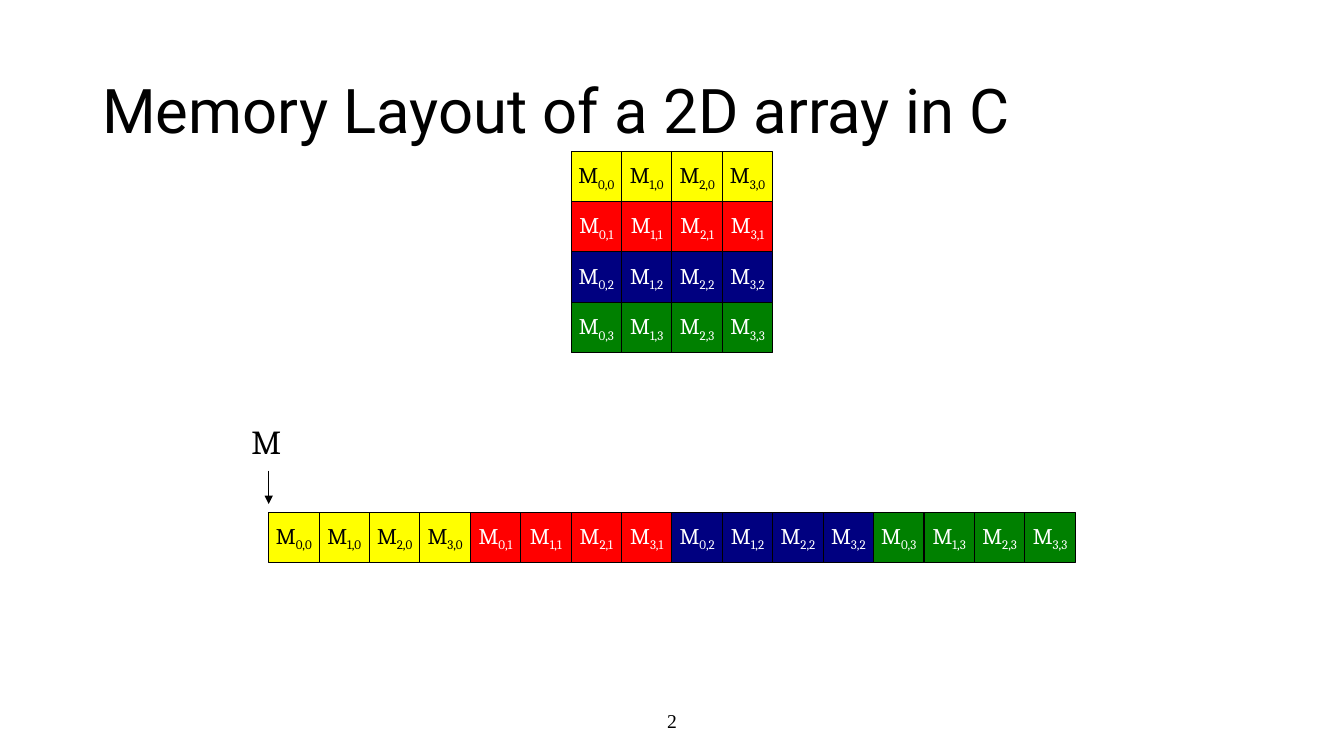
from dataclasses import dataclass

from lxml.etree import SubElement
from pptx import Presentation
from pptx.dml.color import RGBColor
from pptx.enum.shapes import MSO_CONNECTOR, MSO_SHAPE
from pptx.enum.text import MSO_ANCHOR, MSO_AUTO_SIZE, PP_ALIGN
from pptx.oxml.ns import qn
from pptx.util import Inches, Pt


@dataclass(frozen=True)
class Theme:
    ink: str = "000000"
    row_colors: tuple = (
        ("FFFF00", "000000"),
        ("FF0000", "FFFFFF"),
        ("000080", "FFFFFF"),
        ("008000", "FFFFFF"),
    )
    title_font: str = "Roboto"
    cell_font: str = "Cambria"
    number_font: str = "Times New Roman"
    title_size: int = 44
    pointer_size: int = 24
    cell_size: int = 16
    number_size: int = 14
    line_width: float = 0.75


@dataclass(frozen=True)
class Box:
    left: float
    top: float
    width: float
    height: float

    def lengths(self):
        return [Inches(v) for v in (self.left, self.top, self.width, self.height)]


THEME = Theme()
SLIDE_WIDTH, SLIDE_HEIGHT = 13.33, 7.5
CELL = 0.5
SIDE = 4


def centred(width, top, height):
    return Box((SLIDE_WIDTH - width) / 2, top, width, height)


def add_run(paragraph, text, font, size, color):
    run = paragraph.add_run()
    run.text = text
    run.font.name = font
    run.font.size = Pt(size)
    run.font.color.rgb = RGBColor.from_string(color)
    return run


def add_text(slide, box, text, font, size, align=PP_ALIGN.LEFT, anchor=MSO_ANCHOR.MIDDLE):
    shape = slide.shapes.add_textbox(*box.lengths())
    frame = shape.text_frame
    frame.word_wrap = True
    frame.vertical_anchor = anchor
    paragraph = frame.paragraphs[0]
    paragraph.alignment = align
    add_run(paragraph, text, font, size, THEME.ink)
    return frame


def add_title(slide, box):
    frame = add_text(slide, box, "Memory Layout of a 2D array in C", THEME.title_font, THEME.title_size)
    frame.paragraphs[0].line_spacing = 0.9


def add_cell(slide, box, column, row):
    fill, ink = THEME.row_colors[row]
    shape = slide.shapes.add_shape(MSO_SHAPE.RECTANGLE, *box.lengths())
    shape.shadow.inherit = False
    shape.fill.solid()
    shape.fill.fore_color.rgb = RGBColor.from_string(fill)
    shape.line.color.rgb = RGBColor.from_string(THEME.ink)
    shape.line.width = Pt(THEME.line_width)
    frame = shape.text_frame
    frame.word_wrap = False
    frame.vertical_anchor = MSO_ANCHOR.MIDDLE
    paragraph = frame.paragraphs[0]
    paragraph.alignment = PP_ALIGN.CENTER
    add_run(paragraph, "M", THEME.cell_font, THEME.cell_size, ink)
    index = add_run(paragraph, f"{column},{row}", THEME.cell_font, THEME.cell_size, ink)
    index.font._element.set("baseline", "-25000")


def add_cells(slide, box, per_line):
    width = box.width / per_line
    height = box.height * per_line / SIDE**2
    for position in range(SIDE**2):
        row, column = divmod(position, SIDE)
        line, place = divmod(position, per_line)
        cell = Box(box.left + place * width, box.top + line * height, width, height)
        add_cell(slide, cell, column, row)


def add_pointer(slide, box):
    label = Box(box.left - 0.27, box.top, box.width, CELL)
    frame = add_text(slide, label, "M", THEME.cell_font, THEME.pointer_size, anchor=MSO_ANCHOR.TOP)
    frame.word_wrap = False
    frame.auto_size = MSO_AUTO_SIZE.SHAPE_TO_FIT_TEXT
    x = Inches(box.left)
    bottom = box.top + box.height
    arrow = slide.shapes.add_connector(
        MSO_CONNECTOR.STRAIGHT, x, Inches(bottom - 0.33), x, Inches(bottom)
    )
    arrow.line.color.rgb = RGBColor.from_string(THEME.ink)
    arrow.line.width = Pt(THEME.line_width)
    SubElement(arrow.line._get_or_add_ln(), qn("a:tailEnd"), type="triangle")
    SubElement(arrow._element.spPr, qn("a:effectLst"))


def add_slide_number(slide, box):
    add_text(slide, box, "2", THEME.number_font, THEME.number_size, PP_ALIGN.CENTER)


def build_memory_slide(presentation):
    slide = presentation.slides.add_slide(presentation.slide_layouts[6])
    matrix = centred(SIDE * CELL, 1.5, SIDE * CELL)
    memory = centred(SIDE**2 * CELL, 5.08, CELL)
    add_slide_number(slide, centred(4.5, 6.95, 0.4))
    add_title(slide, centred(11.5, 0.4, 1.45))
    add_cells(slide, matrix, SIDE)
    add_cells(slide, memory, SIDE**2)
    add_pointer(slide, Box(memory.left, memory.top - 0.95, 0.52, 0.87))


def main():
    presentation = Presentation()
    presentation.slide_width = Inches(SLIDE_WIDTH)
    presentation.slide_height = Inches(SLIDE_HEIGHT)
    build_memory_slide(presentation)
    presentation.save("out.pptx")


if __name__ == "__main__":
    main()
